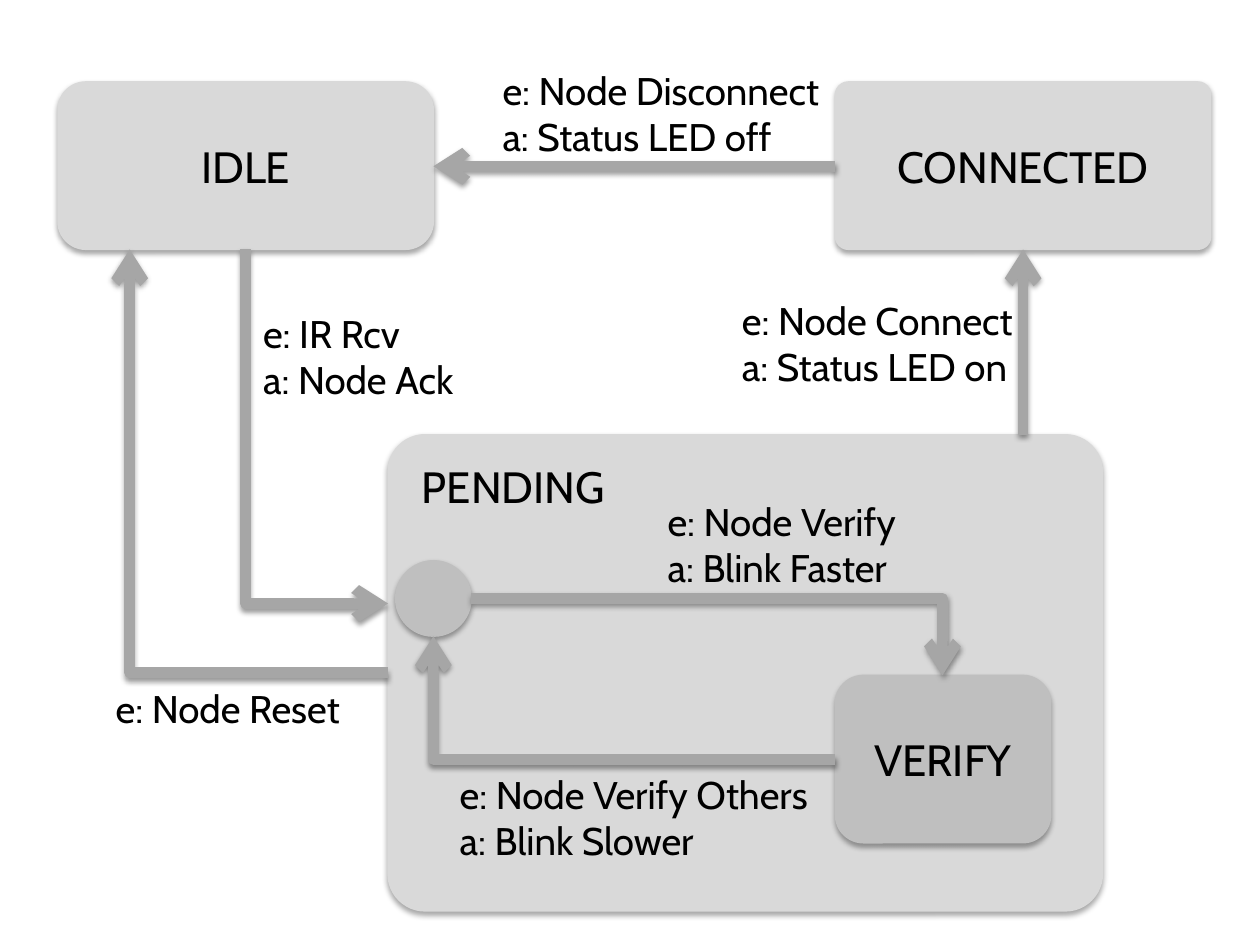
import pptx
import pptx.dml.color
import pptx.enum.shapes
import pptx.enum.text
import pptx.oxml
import pptx.oxml.ns
import pptx.util
from pptx.util import Inches

FONT = "Cabin"
BLACK, LIGHT, MEDIUM, ARROW = "000000", "D9D9D9", "BFBFBF", "A6A6A6"
SHAPE = pptx.enum.shapes.MSO_SHAPE
ROUND, CIRCLE = SHAPE.ROUNDED_RECTANGLE, SHAPE.OVAL

# text, kind, (left, top, width, height), colour, corner ratio
PENDING = ("", ROUND, (3.08, 3.45, 5.67, 3.78), LIGHT, 0.078)
STATES = [
    ("IDLE", ROUND, (0.46, 0.65, 2.98, 1.33), LIGHT, 0.167),
    ("CONNECTED", ROUND, (6.63, 0.65, 2.98, 1.33), LIGHT, 0.078),
    ("VERIFY", ROUND, (6.63, 5.36, 1.71, 1.33), MEDIUM, 0.167),
    ("", CIRCLE, (3.14, 4.45, 0.6, 0.6), MEDIUM, None),
]

# lines (event, action), (left, top, width, height)
LABELS = [
    (["e: IR Rcv", "a: Node Ack"], (1.99, 2.41, 1.76, 0.84)),
    (["e: Node Disconnect", "a: Status LED off"], (3.89, 0.48, 2.74, 1.21)),
    (["e: Node Reset"], (0.82, 5.39, 2.14, 0.47)),
    (["e: Node Verify", "a: Blink Faster"], (5.2, 3.9, 2.48, 0.84)),
    (["e: Node Verify Others", "a: Blink Slower"], (3.55, 6.07, 3.08, 0.84)),
    (["e: Node Connect", "a: Status LED on"], (5.79, 2.31, 2.68, 0.84)),
]

# start, end, route
TRANSITIONS = [
    ((6.63, 1.32), (3.44, 1.32), "straight"),
    ((8.12, 3.45), (8.12, 1.98), "straight"),
    ((3.08, 5.34), (1.03, 1.98), "across first"),
    ((3.74, 4.75), (7.48, 5.36), "across first"),
    ((6.63, 6.03), (3.44, 5.05), "across first"),
    ((1.95, 1.98), (3.08, 4.79), "down first"),
]


def color(value):
    return pptx.dml.color.RGBColor.from_string(value)


def add_shadow(shape, opacity, distance):
    """Give a shape a soft shadow straight below it."""
    namespace = pptx.oxml.ns.nsdecls("a")
    shape.element.spPr.append(pptx.oxml.parse_xml(
        f'<a:effectLst {namespace}><a:outerShdw blurRad="{pptx.util.Pt(3.1)}" '
        f'dist="{pptx.util.Pt(distance)}" dir="5400000" rotWithShape="0">'
        f'<a:srgbClr val="{BLACK}"><a:alpha val="{opacity * 1000}"/></a:srgbClr>'
        f'</a:outerShdw></a:effectLst>'))


def write(frame, lines, size=22, align=pptx.enum.text.PP_ALIGN.LEFT):
    for index, line in enumerate(lines):
        para = frame.paragraphs[0] if index == 0 else frame.add_paragraph()
        para.alignment = align
        span = para.add_run()
        span.text = line
        span.font.name = FONT
        span.font.size = pptx.util.Pt(size)
        span.font.color.rgb = color(BLACK)


def add_state(shapes, text, kind, place, fill, corner):
    state = shapes.add_shape(kind, *map(Inches, place))
    if corner:
        state.adjustments[0] = corner
    state.fill.solid()
    state.fill.fore_color.rgb = color(fill)
    state.line.color.rgb = color(fill)
    state.line.width = pptx.util.Pt(0.75)
    add_shadow(state, 35, 1.8)
    if text:
        state.text_frame.vertical_anchor = pptx.enum.text.MSO_ANCHOR.MIDDLE
        write(state.text_frame, [text], 25, pptx.enum.text.PP_ALIGN.CENTER)


def add_label(shapes, lines, place, size=22, wrap=True):
    frame = shapes.add_textbox(*map(Inches, place)).text_frame
    frame.word_wrap = wrap
    frame.auto_size = pptx.enum.text.MSO_AUTO_SIZE.SHAPE_TO_FIT_TEXT
    write(frame, lines, size)


def add_transition(shapes, start, end, route):
    kinds = pptx.enum.shapes.MSO_CONNECTOR
    kind = kinds.STRAIGHT if route == "straight" else kinds.ELBOW
    if route == "down first":
        # Lay the elbow on its side about its centre, then turn it upright.
        middle_x, middle_y = (start[0] + end[0]) / 2, (start[1] + end[1]) / 2
        half_x, half_y = (end[1] - start[1]) / 2, (end[0] - start[0]) / 2
        start = (middle_x + half_x, middle_y - half_y)
        end = (middle_x - half_x, middle_y + half_y)
    arrow = shapes.add_connector(kind, *map(Inches, start + end))
    arrow.line.color.rgb = color(ARROW)
    arrow.line.width = pptx.util.Pt(6)
    properties = arrow.element.spPr
    if route != "straight":
        properties.find(pptx.oxml.ns.qn("a:prstGeom")).set("prst", "bentConnector2")
    if route == "down first":
        properties.find(pptx.oxml.ns.qn("a:xfrm")).set("rot", str(270 * 60000))
    outline = properties.find(pptx.oxml.ns.qn("a:ln"))
    outline.append(pptx.oxml.parse_xml(
        f'<a:tailEnd {pptx.oxml.ns.nsdecls("a")} type="arrow"/>'))
    add_shadow(arrow, 38, 1.6)


def main():
    deck = pptx.Presentation()
    deck.slide_width, deck.slide_height = Inches(10), Inches(7.5)
    shapes = deck.slides.add_slide(deck.slide_layouts[6]).shapes
    pending = shapes.add_group_shape().shapes
    add_state(pending, *PENDING)
    add_label(pending, ["PENDING"], (3.25, 3.6, 2.01, 0.57), size=25, wrap=False)
    for state in STATES:
        add_state(shapes, *state)
    for label in LABELS:
        add_label(shapes, *label)
    for transition in TRANSITIONS:
        add_transition(shapes, *transition)
    deck.save("out.pptx")


if __name__ == "__main__":
    main()
